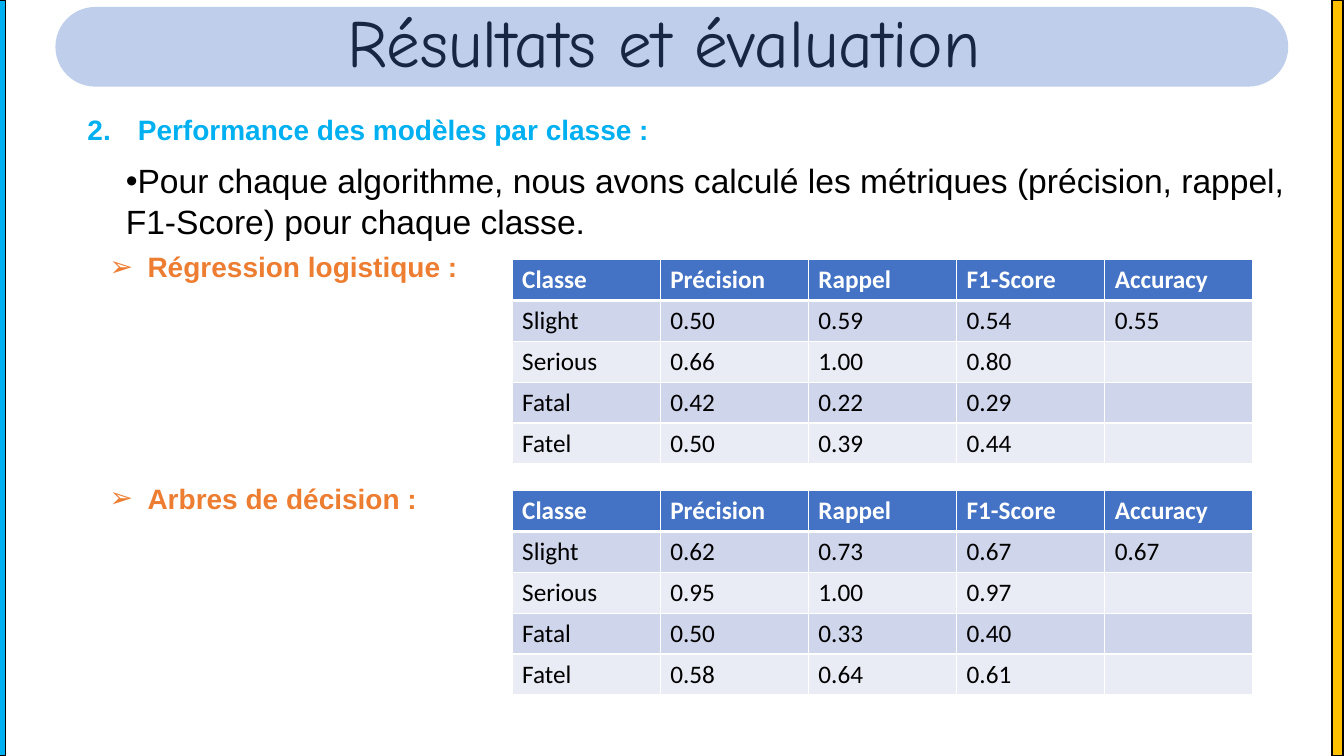
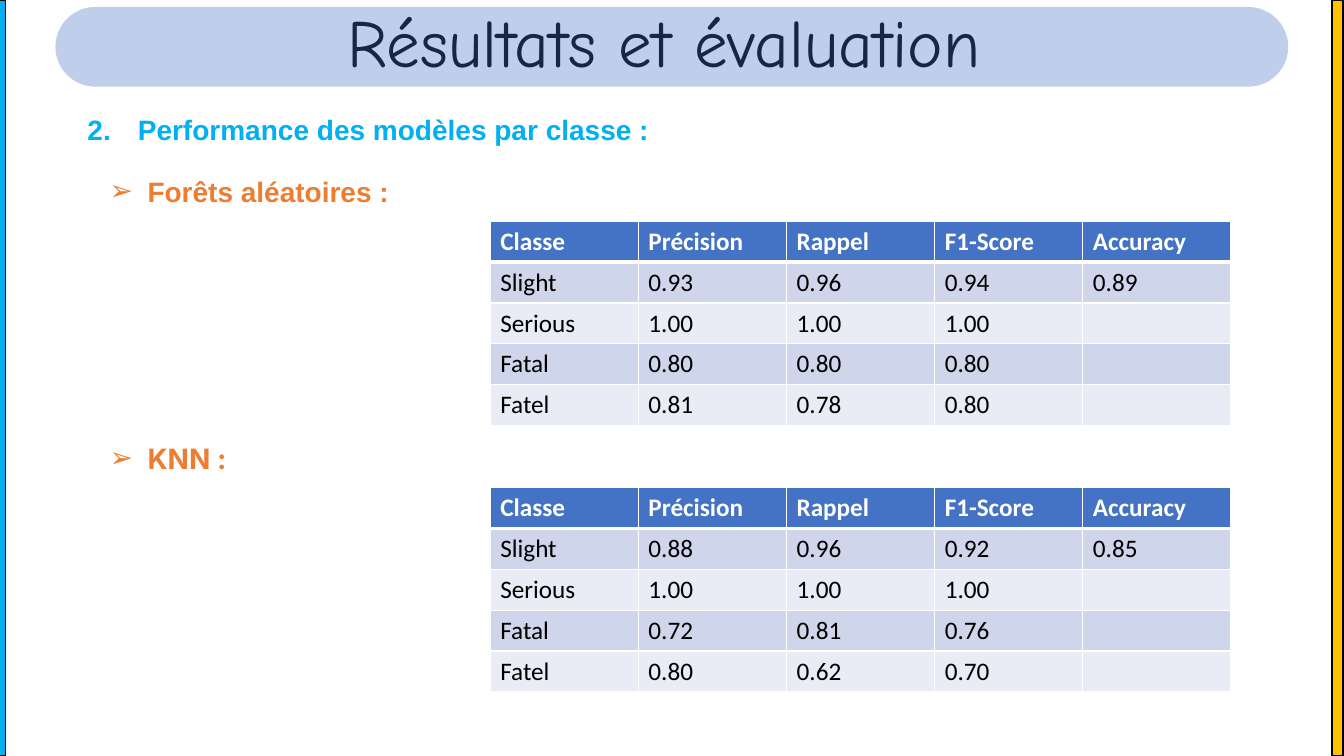
"""Build two slides that compare classification models class by class."""
from dataclasses import dataclass
from itertools import zip_longest

from lxml import etree
from pptx import Presentation
from pptx import util as u
from pptx.dml.color import RGBColor
from pptx.enum import shapes, text
from pptx.oxml.ns import qn

CYAN = RGBColor(0x00, 0xB0, 0xF0)
AMBER = RGBColor(0xFF, 0xC0, 0x00)
ORANGE = RGBColor(0xED, 0x7D, 0x31)
BLUE = RGBColor(0x44, 0x72, 0xC4)
DARK_BAND = RGBColor(0xCF, 0xD5, 0xEA)
LIGHT_BAND = RGBColor(0xE9, 0xEB, 0xF5)
BLACK = RGBColor(0, 0, 0)
WHITE = RGBColor(0xFF, 0xFF, 0xFF)

SLIDE_WIDTH, SLIDE_HEIGHT = 960, 540
BAR_WIDTH = 8
COLUMN_WIDTH, ROW_HEIGHT = 105.84, 29.2
TITLE = "Résultats et évaluation"
HEADING = "Performance des modèles par classe :"
INTRODUCTION = (
    "Pour chaque algorithme, nous avons calculé les métriques "
    "(précision, rappel, F1-Score) pour chaque classe."
)
HEADER = ("Classe", "Précision", "Rappel", "F1-Score", "Accuracy")
CLASSES = ("Slight", "Serious", "Fatal", "Fatel")


@dataclass(frozen=True)
class Box:
    left: float
    top: float
    width: float
    height: float

    def lengths(self) -> tuple:
        return tuple(u.Pt(n) for n in (self.left, self.top, self.width, self.height))


@dataclass(frozen=True)
class Model:
    name: str
    label_top: float
    table_top: float
    scores: tuple
    accuracy: str
    font: str = "Arial"


@dataclass(frozen=True)
class Page:
    table_left: float
    models: tuple
    introduction: str = ""


PAGES = (
    Page(365.8, (
        Model("Régression logistique :", 175, 185.4,
              (("0.50", "0.59", "0.54"), ("0.66", "1.00", "0.80"),
               ("0.42", "0.22", "0.29"), ("0.50", "0.39", "0.44")), "0.55"),
        Model("Arbres de décision :", 340.4, 350.4,
              (("0.62", "0.73", "0.67"), ("0.95", "1.00", "0.97"),
               ("0.50", "0.33", "0.40"), ("0.58", "0.64", "0.61")), "0.67"),
    ), INTRODUCTION),
    Page(350.2, (
        Model("Forêts aléatoires :", 121, 158,
              (("0.93", "0.96", "0.94"), ("1.00", "1.00", "1.00"),
               ("0.80", "0.80", "0.80"), ("0.81", "0.78", "0.80")), "0.89"),
        Model("KNN :", 311.8, 348.2,
              (("0.88", "0.96", "0.92"), ("1.00", "1.00", "1.00"),
               ("0.72", "0.81", "0.76"), ("0.80", "0.62", "0.70")), "0.85", "Inter"),
    )),
)


def write(frame, content: str, *, size: float, color: RGBColor, font: str = "Arial",
          bold: bool = False, before: float = 0, after: float = 0, hanging: float = 0,
          bullet: str = "", number: int = 0) -> None:
    """Write one formatted paragraph, with an optional bullet or number."""
    paragraph = frame.paragraphs[0]
    paragraph.space_before, paragraph.space_after = u.Pt(before), u.Pt(after)
    run = paragraph.add_run()
    run.text = content
    run.font.name, run.font.size, run.font.bold = font, u.Pt(size), bold
    run.font.color.rgb = color
    properties = paragraph._p.get_or_add_pPr()
    if bullet or number:
        properties.set("marL", str(u.Pt(hanging)))
        properties.set("indent", str(-u.Pt(hanging)))
    if bullet:
        etree.SubElement(properties, qn("a:buFont"), typeface="Arial")
        etree.SubElement(properties, qn("a:buChar"), char=bullet)
    elif number:
        etree.SubElement(properties, qn("a:buAutoNum"), type="arabicPeriod",
                         startAt=str(number))


def add_text(slide, box: Box, content: str, **style) -> None:
    """Add a wrapping text box."""
    frame = slide.shapes.add_textbox(*box.lengths()).text_frame
    frame.word_wrap = True
    frame.auto_size = text.MSO_AUTO_SIZE.SHAPE_TO_FIT_TEXT
    write(frame, content, **style)


def add_bar(slide, left: float, color: RGBColor) -> None:
    """Add an outlined bar of full height at a slide edge."""
    bar = slide.shapes.add_shape(shapes.MSO_SHAPE.RECTANGLE,
                                 *Box(left, 0, BAR_WIDTH, SLIDE_HEIGHT).lengths())
    bar.shadow.inherit = False
    bar.fill.solid()
    bar.fill.fore_color.rgb = color
    bar.line.color.rgb = BLACK
    bar.line.width = u.Pt(1)


def add_title_pill(slide) -> None:
    """Lay the translucent pill over the title."""
    pill = slide.shapes.add_shape(shapes.MSO_SHAPE.ROUNDED_RECTANGLE,
                                  *Box(39.6, 5, 880.6, 56.9).lengths())
    pill.adjustments[0] = 0.5
    pill.shadow.inherit = False
    pill.fill.solid()
    pill.fill.fore_color.rgb = BLUE
    pill.line.fill.background()
    color = pill._element.spPr.find(qn("a:solidFill")).find(qn("a:srgbClr"))
    etree.SubElement(color, qn("a:alpha"), val="34000")


def add_borders(cell, top: float, bottom: float) -> None:
    """Give a cell white borders."""
    properties = cell._tc.get_or_add_tcPr()
    for side, width in (("L", 1), ("R", 1), ("T", top), ("B", bottom)):
        line = etree.SubElement(properties, qn(f"a:ln{side}"), w=str(u.Pt(width)))
        fill = etree.SubElement(line, qn("a:solidFill"))
        etree.SubElement(fill, qn("a:srgbClr"), val=str(WHITE))


def add_scores(slide, left: float, model: Model) -> None:
    """Add the table of scores of one model."""
    rows = [HEADER] + [(name, *scores) for name, scores in zip(CLASSES, model.scores)]
    rows[1] += (model.accuracy,)
    box = Box(left, model.table_top, COLUMN_WIDTH * len(HEADER), ROW_HEIGHT * len(rows))
    table = slide.shapes.add_table(len(rows), len(HEADER), *box.lengths()).table
    for column in table.columns:
        column.width = u.Pt(COLUMN_WIDTH)
    for index, (row, values) in enumerate(zip(table.rows, rows)):
        row.height = u.Pt(ROW_HEIGHT)
        is_header = index == 0
        band = BLUE if is_header else DARK_BAND if index % 2 else LIGHT_BAND
        for cell, value in zip_longest(row.cells, values, fillvalue=""):
            add_borders(cell, top=3 if index == 1 else 1, bottom=3 if is_header else 1)
            cell.fill.solid()
            cell.fill.fore_color.rgb = band
            cell.vertical_anchor = text.MSO_ANCHOR.MIDDLE
            if value:
                write(cell.text_frame, value, size=18, font="Calibri", bold=is_header,
                      color=WHITE if is_header else BLACK)


def add_page(presentation, page: Page) -> None:
    """Add one slide with the shared frame and its models."""
    slide = presentation.slides.add_slide(presentation.slide_layouts[6])
    add_bar(slide, -4.2, CYAN)
    add_bar(slide, 951.4, AMBER)
    add_text(slide, Box(241.2, -3.6, 520, 65.5), TITLE, size=48, font="Comic Neue",
             color=BLACK)
    add_title_pill(slide)
    add_text(slide, Box(55.4, 77, 476, 31.5), HEADING, size=20, color=CYAN, bold=True,
             after=3, hanging=36, number=2)
    if page.introduction:
        add_text(slide, Box(82.8, 111, 846.7, 65.5), page.introduction, size=24,
                 color=BLACK, before=3, bullet="•")
    for model in page.models:
        add_text(slide, Box(71.3, model.label_top, 482.4, 31.5), model.name, size=20,
                 font=model.font, color=ORANGE, bold=True, hanging=27, bullet="➢")
        add_scores(slide, page.table_left, model)


def main() -> None:
    """Build and save the presentation."""
    presentation = Presentation()
    presentation.slide_width = u.Pt(SLIDE_WIDTH)
    presentation.slide_height = u.Pt(SLIDE_HEIGHT)
    for page in PAGES:
        add_page(presentation, page)
    presentation.save("out.pptx")


if __name__ == "__main__":
    main()
